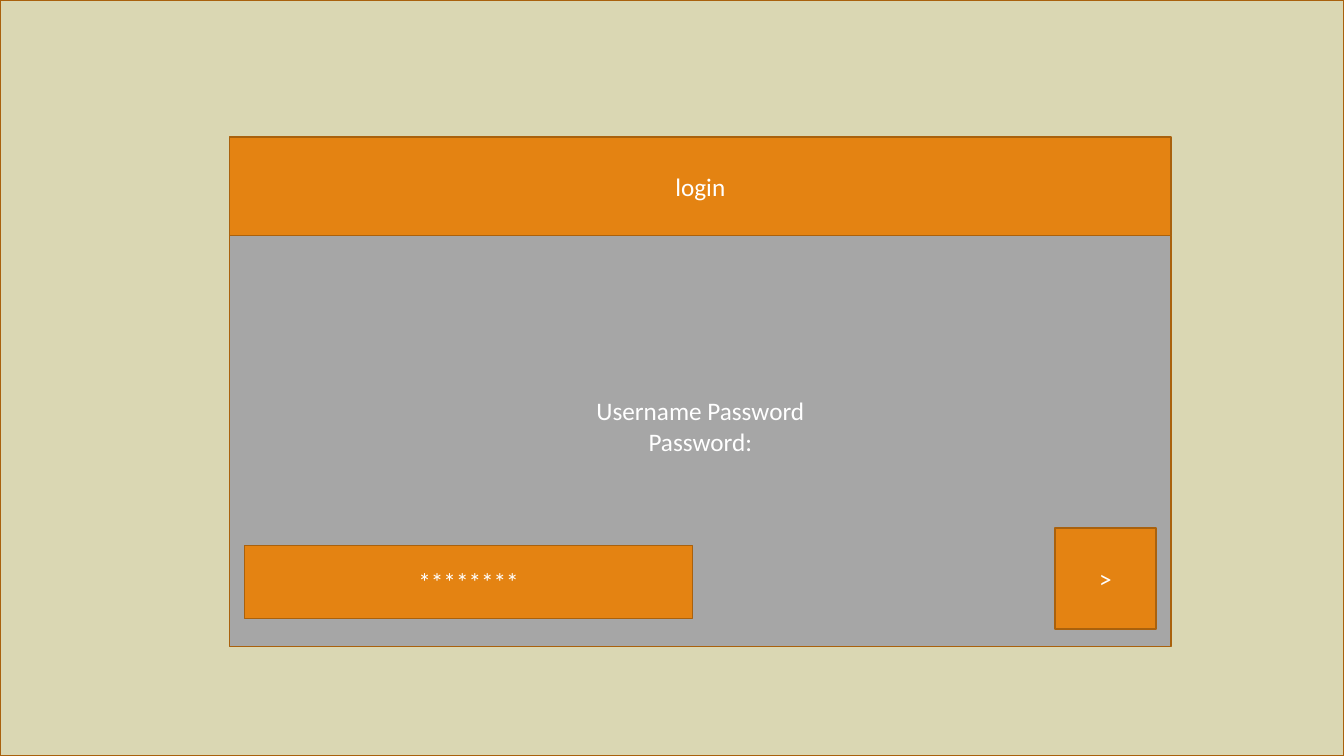
import pptx
import pptx.dml.color
import pptx.enum.shapes
import pptx.enum.text
import pptx.util

Cm = pptx.util.Cm
Pt = pptx.util.Pt
RGB = pptx.dml.color.RGBColor.from_string

COLORS = {
    "background": "DAD7B3",
    "panel": "A6A6A6",
    "accent": "E48312",
    "border": "A9610D",
    "text": "FFFFFF",
}
FONT = {"name": "Calibri", "size": Pt(18)}
FRAME = {
    "word_wrap": True,
    "vertical_anchor": pptx.enum.text.MSO_ANCHOR.MIDDLE,
}


def add_text(sp, lines, bottom):
    """Write centred lines; bottom is the lower inset in cm."""
    tf = sp.text_frame
    for name, value in FRAME.items():
        setattr(tf, name, value)
    tf.margin_bottom = Cm(bottom)
    for i, line in enumerate(lines):
        p = tf.paragraphs[0] if i == 0 else tf.add_paragraph()
        p.alignment = pptx.enum.text.PP_ALIGN.CENTER
        r = p.add_run()
        r.text = line
        for name, value in FONT.items():
            setattr(r.font, name, value)
        r.font.color.rgb = RGB(COLORS["text"])


def add_box(s, left, top, width, height, fill, lines=(), bottom=0.13):
    """Add a bordered rectangle, measured in cm."""
    sp = s.shapes.add_shape(
        pptx.enum.shapes.MSO_SHAPE.RECTANGLE,
        Cm(left), Cm(top), Cm(width), Cm(height),
    )
    sp.shadow.inherit = False
    sp.fill.solid()
    sp.fill.fore_color.rgb = RGB(COLORS[fill])
    sp.line.color.rgb = RGB(COLORS["border"])
    sp.line.width = Pt(1)
    if lines:
        add_text(sp, lines, bottom)


def main():
    prs = pptx.Presentation()
    slide_w, slide_h = 33.87, 19.05
    prs.slide_width, prs.slide_height = Cm(slide_w), Cm(slide_h)
    s = prs.slides.add_slide(prs.slide_layouts[6])

    # Background
    add_box(s, 0, 0, slide_w, slide_h, "background")

    # Login window: body below its title bar
    left, top, width, bar_h = 5.79, 3.45, 23.72, 2.49
    add_box(s, left, top + bar_h, width, 10.36, "panel",
            ["Username Password", "Password:"], bottom=0.9)
    add_box(s, left, top, width, bar_h, "accent", ["login"])

    # Password field and submit button, inset equally from the sides
    inset, button = 0.38, 2.54
    add_box(s, left + inset, 13.74, 11.28, 1.85, "accent", ["********"])
    add_box(s, left + width - inset - button, 13.31, button, button,
            "accent", [">"])

    prs.save("out.pptx")


if __name__ == "__main__":
    main()
